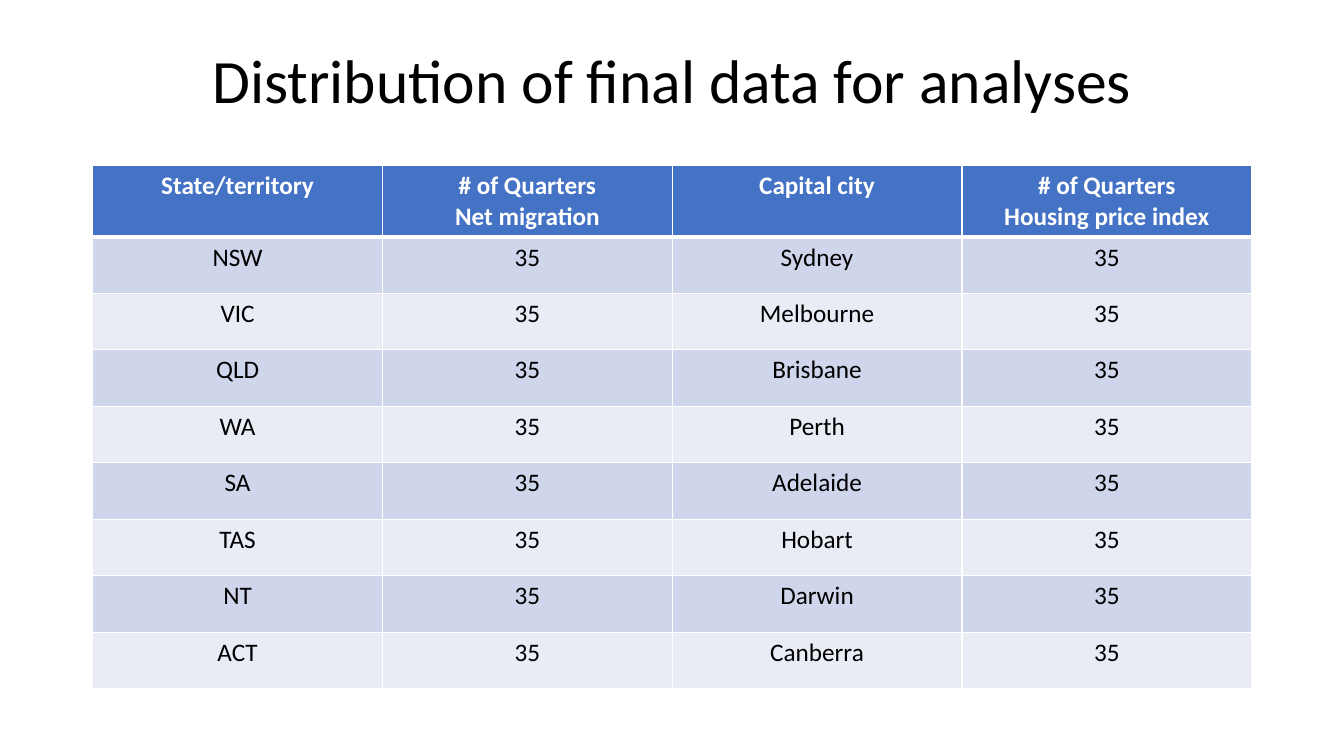
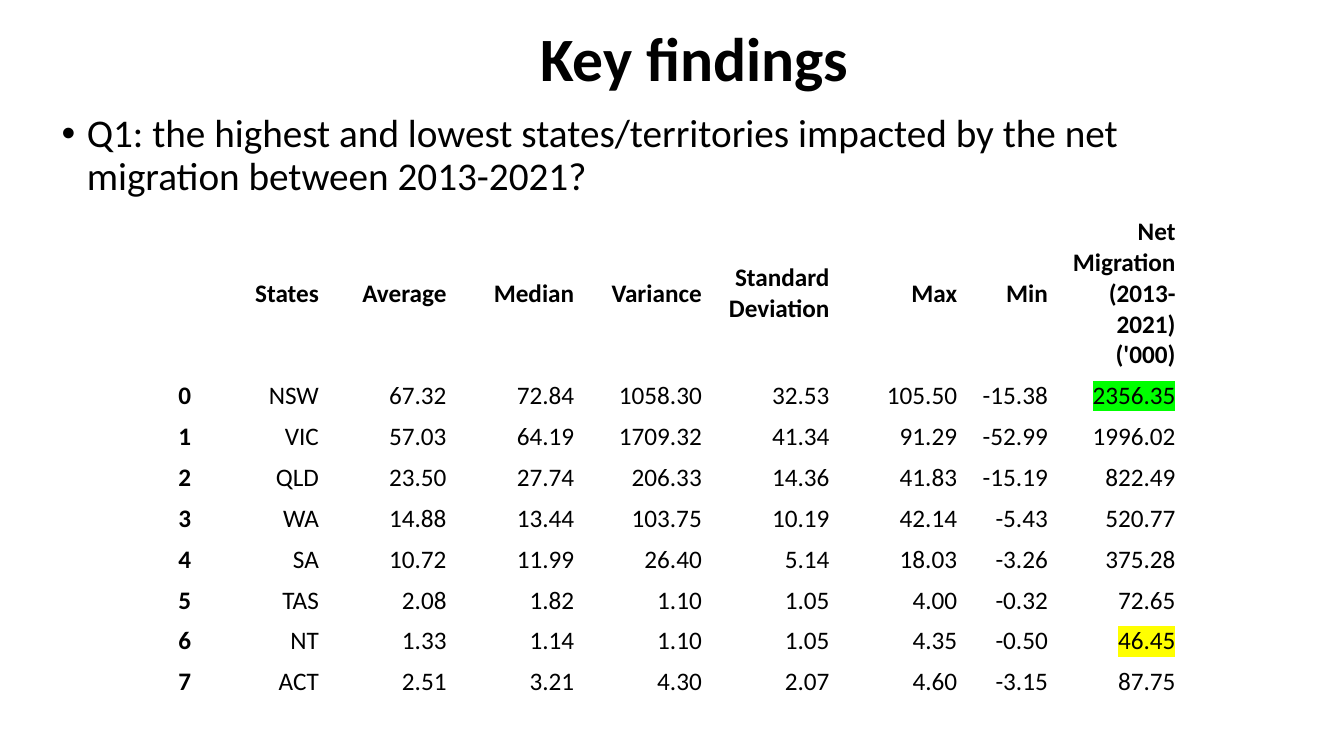
from dataclasses import dataclass, replace

from lxml.etree import SubElement
from pptx import Presentation
from pptx.dml.color import RGBColor
from pptx.enum.text import MSO_ANCHOR as Anchor, MSO_AUTO_SIZE as AutoSize, PP_ALIGN as Align
from pptx.oxml import parse_xml
from pptx.oxml.ns import nsdecls, qn
from pptx.util import Emu, Inches, Pt

SLIDE_WIDTH, SLIDE_HEIGHT = Inches(13.33), Inches(7.5)
GRID = 100
FONT = "Calibri"
BLACK, WHITE, BLUE = "000000", "FFFFFF", "4472C4"
BANDS = ("CFD5EA", "E9EBF5")
GREEN, YELLOW = "00FF00", "FFFF00"

STATES = ("NSW", "VIC", "QLD", "WA", "SA", "TAS", "NT", "ACT")
CAPITALS = ("Sydney", "Melbourne", "Brisbane", "Perth", "Adelaide", "Hobart", "Darwin", "Canberra")
QUARTERS = "35"
STATISTICS = (
    ("67.32", "72.84", "1058.30", "32.53", "105.50", "-15.38", "2356.35"),
    ("57.03", "64.19", "1709.32", "41.34", "91.29", "-52.99", "1996.02"),
    ("23.50", "27.74", "206.33", "14.36", "41.83", "-15.19", "822.49"),
    ("14.88", "13.44", "103.75", "10.19", "42.14", "-5.43", "520.77"),
    ("10.72", "11.99", "26.40", "5.14", "18.03", "-3.26", "375.28"),
    ("2.08", "1.82", "1.10", "1.05", "4.00", "-0.32", "72.65"),
    ("1.33", "1.14", "1.10", "1.05", "4.35", "-0.50", "46.45"),
    ("2.51", "3.21", "4.30", "2.07", "4.60", "-3.15", "87.75"),
)


@dataclass(frozen=True)
class Area:
    left: float
    top: float
    width: float
    height: float


@dataclass(frozen=True)
class TextStyle:
    size: float
    color: str = BLACK
    bold: bool = False
    highlight: str = ""


@dataclass(frozen=True)
class TableSpec:
    left: float
    top: float
    widths: tuple[float, ...]
    header_height: float
    row_height: float
    header: tuple[str, ...]
    rows: tuple[tuple[str, ...], ...]
    align: Align
    anchor: Anchor
    header_style: TextStyle
    header_fill: str
    bands: tuple[str, ...]
    bold_first: bool = False
    ruled: bool = False
    highlights: tuple[tuple[str, str], ...] = ()


TITLE = TextStyle(44)
QUESTION = TextStyle(28)
CELL = TextStyle(18)


def rgb(value: str) -> RGBColor:
    return RGBColor.from_string(value)


def cols(count: float) -> Emu:
    return Emu(round(SLIDE_WIDTH * count / GRID))


def rows(count: float) -> Emu:
    return Emu(round(SLIDE_HEIGHT * count / GRID))


def add_text(paragraph, text: str, style: TextStyle) -> None:
    run = paragraph.add_run()
    run.text = text
    font = run.font
    font.size, font.bold = Pt(style.size), style.bold
    font.color.rgb = rgb(style.color)
    if style.highlight:
        mark = SubElement(font._element, qn("a:highlight"))
        SubElement(mark, qn("a:srgbClr")).set("val", style.highlight)
    font.name = FONT


def fill_placeholder(holder, area: Area, text: str, style: TextStyle):
    holder.left, holder.top = cols(area.left), rows(area.top)
    holder.width, holder.height = cols(area.width), rows(area.height)
    holder.text_frame.auto_size = AutoSize.NONE
    paragraph = holder.text_frame.paragraphs[0]
    paragraph.line_spacing = 0.9
    add_text(paragraph, text, style)
    return paragraph


def add_title(slide, area: Area, text: str, style: TextStyle) -> None:
    title = slide.shapes.title
    fill_placeholder(title, area, text, style).alignment = Align.CENTER
    title.text_frame.vertical_anchor = Anchor.MIDDLE


def add_question(slide, area: Area, text: str) -> None:
    paragraph = fill_placeholder(slide.placeholders[1], area, text, QUESTION)
    paragraph.space_before = Pt(10)
    properties = paragraph._p.get_or_add_pPr()
    properties.set("marL", str(Inches(0.25)))
    properties.set("indent", str(-Inches(0.25)))
    SubElement(properties, qn("a:buChar")).set("char", "•")


def rule_cell(cell, bottom: float, top: float) -> None:
    properties = cell._tc.get_or_add_tcPr()
    sides = (("lnL", 1), ("lnR", 1), ("lnT", top), ("lnB", bottom))
    for position, (side, points) in enumerate(sides):
        properties.insert(position, parse_xml(
            f'<a:{side} {nsdecls("a")} w="{Pt(points)}"><a:solidFill>'
            f'<a:srgbClr val="{WHITE}"/></a:solidFill></a:{side}>'))


def fill_cell(cell, text: str, style: TextStyle, fill: str, spec: TableSpec) -> None:
    cell.fill.solid()
    cell.fill.fore_color.rgb = rgb(fill)
    cell.vertical_anchor = spec.anchor
    frame = cell.text_frame
    for index, line in enumerate(text.split("\n") if text else ()):
        paragraph = frame.add_paragraph() if index else frame.paragraphs[0]
        paragraph.alignment = spec.align
        add_text(paragraph, line, style)


def add_data_table(slide, spec: TableSpec) -> None:
    records = (spec.header, *spec.rows)
    heights = (spec.header_height, *[spec.row_height] * len(spec.rows))
    table = slide.shapes.add_table(
        len(records), len(spec.widths), cols(spec.left), rows(spec.top),
        cols(sum(spec.widths)), rows(sum(heights))).table
    table.first_row = spec.ruled
    table.horz_banding = spec.ruled
    for column, width in zip(table.columns, spec.widths):
        column.width = cols(width)
    marks = dict(spec.highlights)
    for r, (record, height) in enumerate(zip(records, heights)):
        table.rows[r].height = rows(height)
        fill = spec.bands[(r - 1) % len(spec.bands)] if r else spec.header_fill
        for c, text in enumerate(record):
            style = spec.header_style if r == 0 else replace(
                CELL, bold=spec.bold_first and c == 0, highlight=marks.get(text, ""))
            cell = table.cell(r, c)
            fill_cell(cell, text, style, fill, spec)
            if spec.ruled:
                rule_cell(cell, bottom=3 if r == 0 else 1, top=3 if r == 1 else 1)


def build_distribution(deck) -> None:
    slide = deck.slides.add_slide(deck.slide_layouts[5])
    add_title(slide, Area(6.9, 5.33, 86.25, 11.47), "Distribution of final data for analyses", TITLE)
    add_data_table(slide, TableSpec(
        left=6.9, top=21.87, widths=(21.56,) * 4, header_height=9.4, row_height=7.47,
        header=("State/territory", "# of Quarters\nNet migration",
                "Capital city", "# of Quarters\nHousing price index"),
        rows=tuple((state, QUARTERS, capital, QUARTERS) for state, capital in zip(STATES, CAPITALS)),
        align=Align.CENTER, anchor=Anchor.TOP,
        header_style=replace(CELL, color=WHITE, bold=True),
        header_fill=BLUE, bands=BANDS, ruled=True))


def build_findings(deck) -> None:
    slide = deck.slides.add_slide(deck.slide_layouts[1])
    add_title(slide, Area(8.55, 2.13, 86.25, 12.13), "Key findings", replace(TITLE, bold=True))
    add_question(slide, Area(3.83, 14.4, 91.9, 80),
                 "Q1: the highest and lowest states/territories impacted by the net "
                 "migration between 2013-2021?")
    add_data_table(slide, TableSpec(
        left=5.48, top=28, widths=(*[9.5] * 7, 6.75, 9.5), header_height=21.6, row_height=5.4,
        header=("", "States", "Average", "Median", "Variance", "Standard Deviation",
                "Max", "Min", "Net Migration (2013-2021) ('000)"),
        rows=tuple((str(index), state, *values)
                   for index, (state, values) in enumerate(zip(STATES, STATISTICS))),
        align=Align.RIGHT, anchor=Anchor.MIDDLE,
        header_style=replace(CELL, bold=True), header_fill=WHITE, bands=(WHITE,),
        bold_first=True, highlights=(("2356.35", GREEN), ("46.45", YELLOW))))


def main() -> None:
    deck = Presentation()
    deck.slide_width, deck.slide_height = SLIDE_WIDTH, SLIDE_HEIGHT
    build_distribution(deck)
    build_findings(deck)
    deck.save("out.pptx")


if __name__ == "__main__":
    main()
